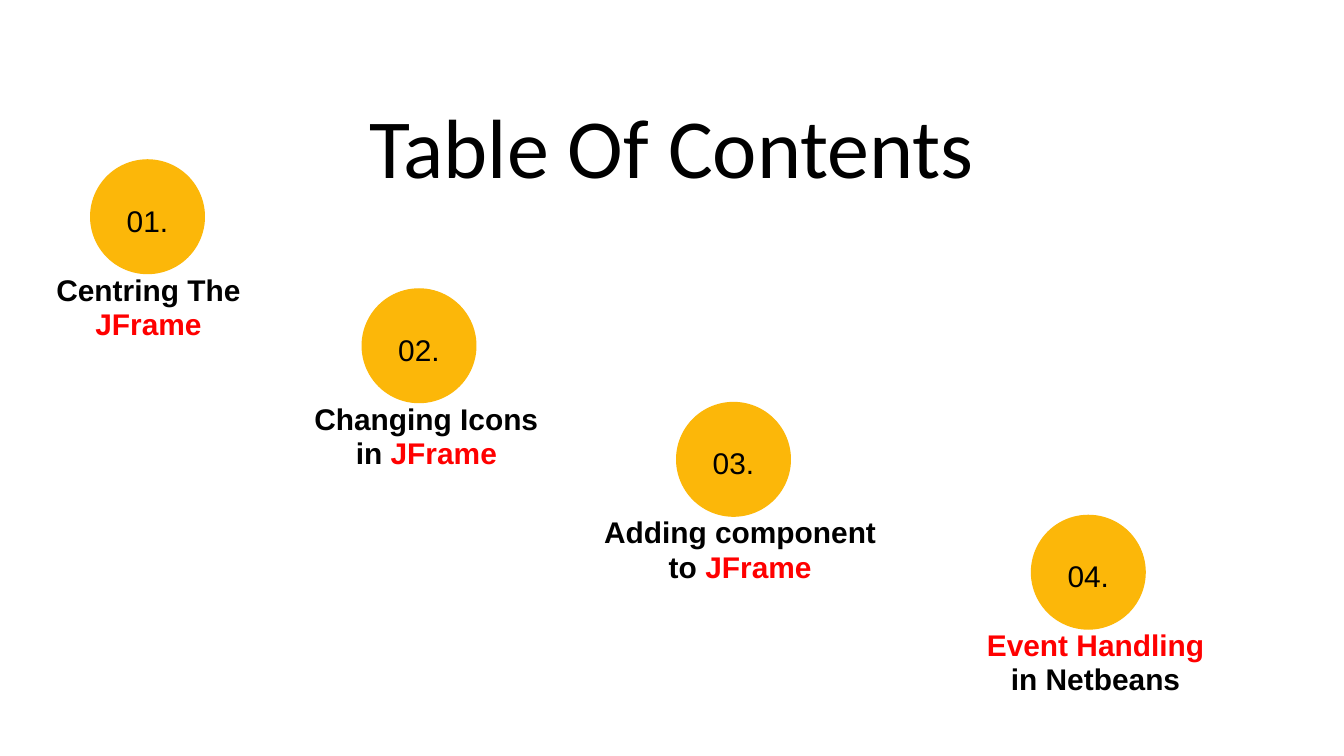
from dataclasses import dataclass

from pptx import Presentation
from pptx import util as u
from pptx.dml.color import RGBColor
from pptx.enum import shapes, text

COLS, ROWS = 20, 11.25  # grid of one-inch cells


@dataclass(frozen=True)
class Theme:
    ink: str = "000000"
    mark: str = "FF0000"
    disc: str = "FCB709"
    head: str = "Calibri"
    body: str = "Arial"
    big: int = 90
    base: int = 32


class Deck:
    def __init__(self, theme):
        self.theme = theme
        self.prs = Presentation()
        self.prs.slide_width = u.Inches(COLS)
        self.prs.slide_height = u.Inches(ROWS)
        self.slide = self.prs.slides.add_slide(self.prs.slide_layouts[6])

    def letter(self, shape, runs, font, size, gap, bold=False, inset=0):
        """Fill a shape with one centred paragraph of (wording, colour) runs."""
        frame = shape.text_frame
        frame.word_wrap = True
        frame.margin_left = frame.margin_right = u.Inches(inset)
        frame.margin_top = frame.margin_bottom = u.Inches(inset)
        para = frame.paragraphs[0]
        para.alignment = text.PP_ALIGN.CENTER
        para.line_spacing = gap
        para.font.name, para.font.size, para.font.bold = font, u.Pt(size), bold
        for words, hue in runs:
            run = para.add_run()
            run.text = words
            run.font.color.rgb = RGBColor.from_string(hue)
        return para

    def box(self, *cells):
        shape = self.slide.shapes.add_textbox(*map(u.Inches, cells))
        shape.text_frame.auto_size = text.MSO_AUTO_SIZE.SHAPE_TO_FIT_TEXT
        return shape

    def title(self, words, *cells):
        t = self.theme
        self.letter(self.box(*cells), [(words, t.ink)], t.head, t.big, 1.2)

    def disc(self, words, left, top, size):
        t = self.theme
        cells = map(u.Inches, (left, top, size, size))
        shape = self.slide.shapes.add_shape(shapes.MSO_SHAPE.OVAL, *cells)
        shape.shadow.inherit = False
        shape.fill.solid()
        shape.fill.fore_color.rgb = RGBColor.from_string(t.disc)
        shape.line.color.rgb = RGBColor.from_string(t.disc)
        shape.line.width = u.Pt(1.5)
        shape.text_frame.vertical_anchor = text.MSO_ANCHOR.MIDDLE
        self.letter(shape, [(words, t.ink)], t.body, t.base, 1.2, inset=0.06)

    def label(self, runs, *cells):
        t = self.theme
        para = self.letter(self.box(*cells), runs, t.body, t.base, 0.96, bold=True)
        para._p.get_or_add_pPr().set("marL", str(u.Inches(0.21)))


def main():
    theme = Theme()
    ink, mark = theme.ink, theme.mark
    deck = Deck(theme)
    deck.title("Table Of Contents", 0.97, 1.11, 18.05, 1.51)

    size = 1.69
    # disc left, disc top, label left, label width, label runs
    topics = [
        (1.35, 2.38, 0.54, 3.13, [("Centring The ", ink), ("JFrame", mark)]),
        (5.39, 4.3, 4.23, 4.02, [("Changing Icons in ", ink), ("JFrame", mark)]),
        (10.07, 5.99, 8.77, 4.28, [("Adding component to ", ink), ("JFrame", mark)]),
        (15.35, 7.67, 14.35, 3.7, [("Event Handling ", mark), ("in Netbeans", ink)]),
    ]
    for num, (left, top, edge, width, runs) in enumerate(topics, 1):
        deck.disc(f"{num:02}.", left, top, size)
        deck.label(runs, edge, top + size, width, 1.36)

    deck.prs.save("out.pptx")


if __name__ == "__main__":
    main()
